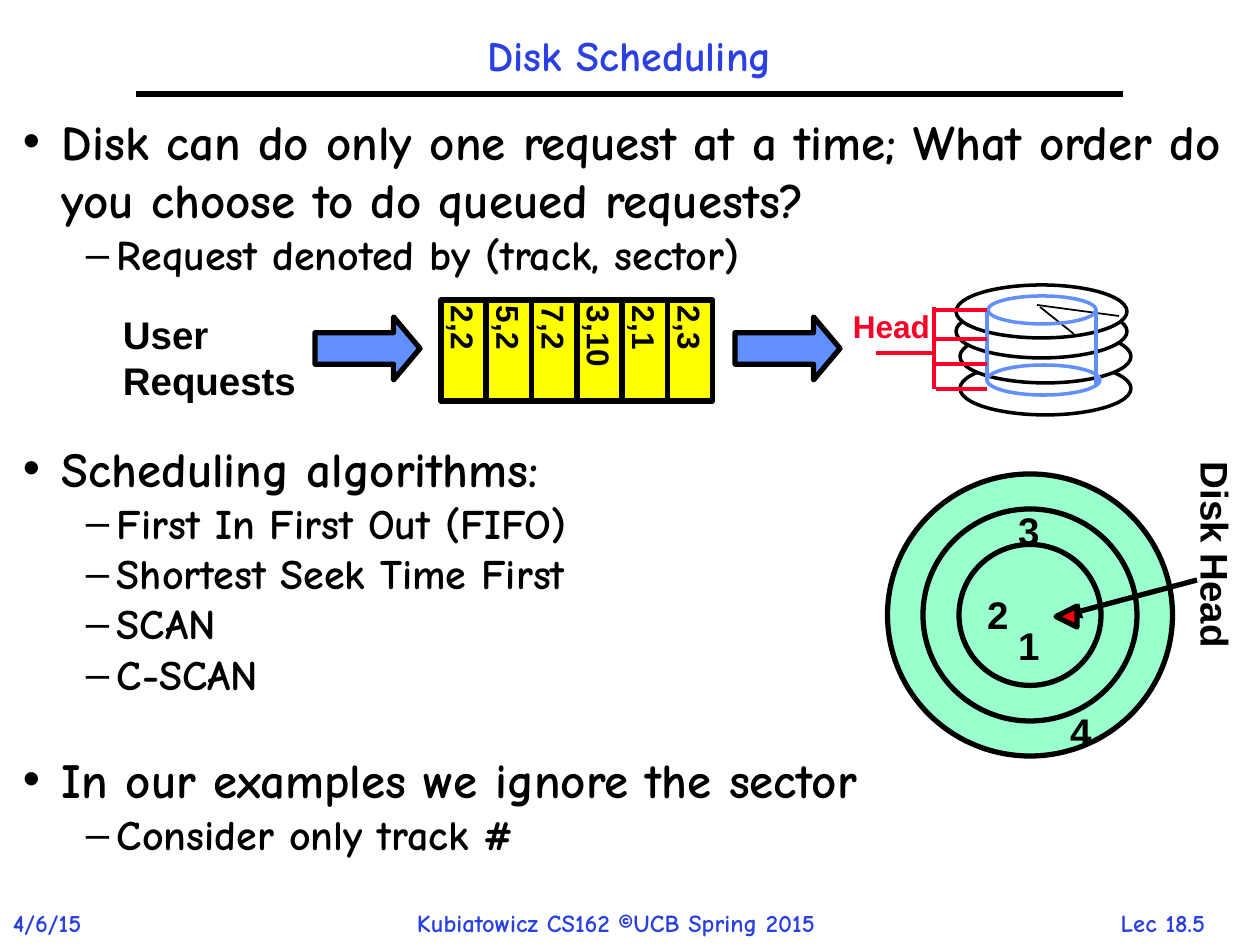
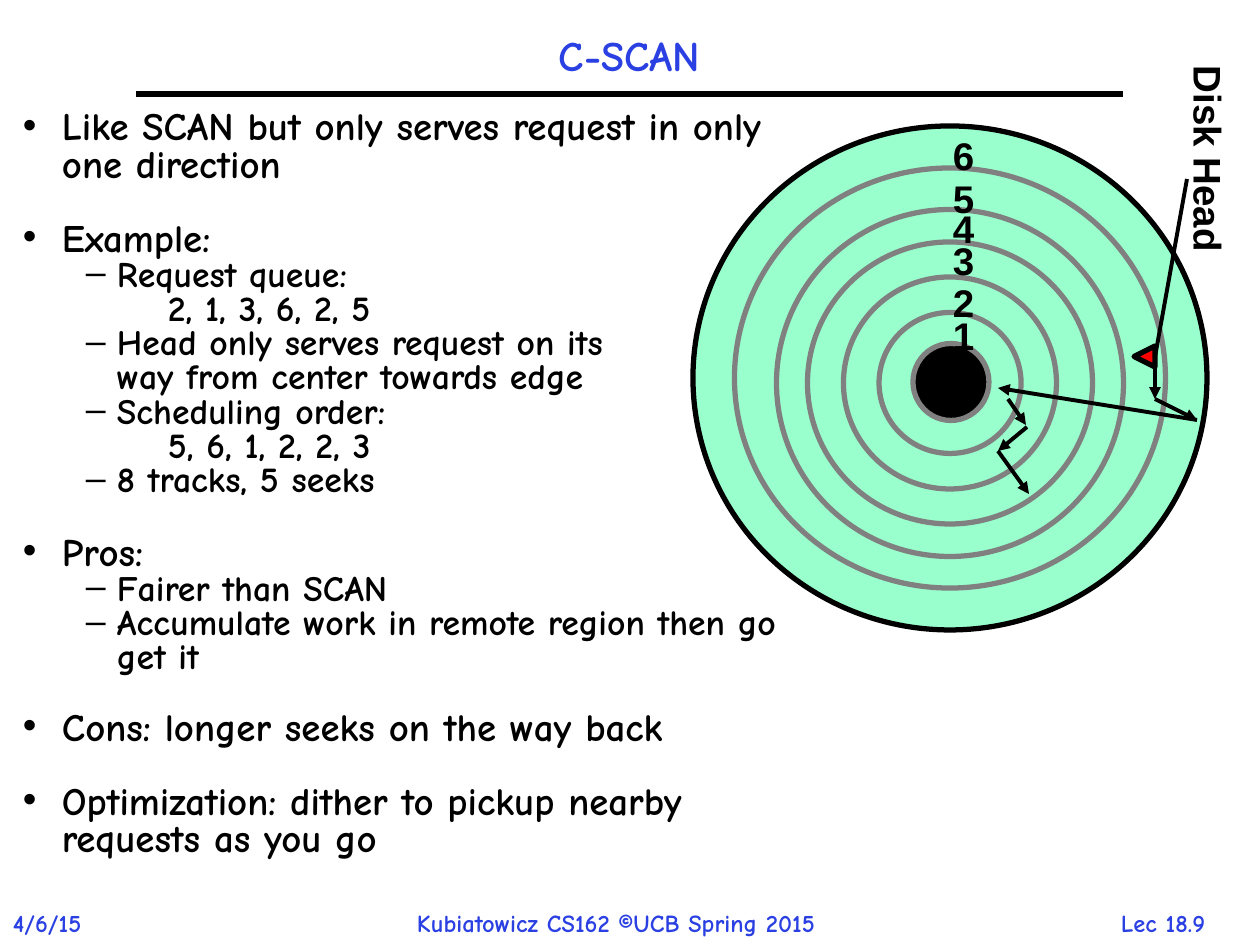
from lxml import etree
from pptx import Presentation
from pptx import util as u
from pptx.dml.color import RGBColor
from pptx.enum import shapes, text
from pptx.oxml.ns import qn

PX = 914400 / 126  # EMU in one px
BLACK, WHITE, GREY = "000000", "FFFFFF", "808080"
BLUE, SKY, MINT = "2A40E2", "618FFD", "99FFCC"
YELLOW, RED, CRIMSON = "FFFF00", "FF0000", "FC0128"
SCRIPT_FONT, LABEL_FONT = "Comic Neue", "Arial"
KIND = shapes.MSO_SHAPE
ALIGN = text.PP_ALIGN

# Left margin, first-line indent (px) and bullet of each outline level
LEVELS = [(39, -39, "•"), (94, -31, "–"), (145, 0, None)]


def px(length):
    return u.Emu(round(length * PX))


def colour(value):
    return RGBColor.from_string(value)


def write(shape, content, size, font=LABEL_FONT, ink=BLACK, align=ALIGN.LEFT,
          anchor=text.MSO_ANCHOR.TOP, spacing=None, insets=(13, 6)):
    frame = shape.text_frame
    frame.word_wrap = True
    frame.vertical_anchor = anchor
    frame.margin_left = frame.margin_right = px(insets[0])
    frame.margin_top = frame.margin_bottom = px(insets[1])
    frame.text = content
    for para in frame.paragraphs:
        para.alignment = align
        para.line_spacing = spacing
        style_runs(para, size, font, ink)


def style_runs(para, size, font, ink):
    for span in para.runs:
        span.font.size = u.Pt(size)
        span.font.name = font
        span.font.bold = True
        span.font.color.rgb = colour(ink)


class Region:
    """Part of a page whose contents are placed from its top left corner."""

    def __init__(self, page, left=0, top=0):
        self.shapes, self.left, self.top = page.shapes, left, top

    def place(self, x, y):
        return px(self.left + x), px(self.top + y)

    def text(self, x, y, width, height, content, size, **style):
        box = self.shapes.add_textbox(*self.place(x, y), px(width), px(height))
        write(box, content, size, **style)
        return box

    def shape(self, kind, x, y, width, height, fill=None, line=BLACK, weight=3):
        shape = self.shapes.add_shape(kind, *self.place(x, y), px(width), px(height))
        shape.shadow.inherit = False
        if fill:
            shape.fill.solid()
            shape.fill.fore_color.rgb = colour(fill)
        else:
            shape.fill.background()
        shape.line.color.rgb = colour(line)
        shape.line.width = u.Pt(weight)
        return shape

    def line(self, x1, y1, x2, y2, ink=BLACK, weight=2, arrow=False):
        line = self.shapes.add_connector(shapes.MSO_CONNECTOR.STRAIGHT,
                                         *self.place(x1, y1), *self.place(x2, y2))
        line.line.color.rgb = colour(ink)
        line.line.width = u.Pt(weight)
        if arrow:
            etree.SubElement(line.line._get_or_add_ln(), qn("a:tailEnd"), type="triangle")
        etree.SubElement(line._element.spPr, qn("a:effectLst"))

    def ring(self, centre_x, centre_y, width, height, fill=MINT, line=BLACK):
        self.shape(KIND.OVAL, centre_x - width / 2, centre_y - height / 2,
                   width, height, fill, line)

    def disk_head(self, label, marker):
        self.text(*label, 256, 62, "Disk Head", 22).rotation = 90
        triangle = self.shape(KIND.ISOSCELES_TRIANGLE, *marker, 21, 21, RED)
        triangle.rotation = 270


def add_page(deck, title, number):
    page = deck.slides.add_slide(deck.slide_layouts[6])
    frame = Region(page)
    # Title and rule
    frame.text(136, 21, 987, 73, title, 24, font=SCRIPT_FONT, ink=BLUE,
               align=ALIGN.CENTER, anchor=text.MSO_ANCHOR.MIDDLE, spacing=0.9)
    frame.line(136, 94, 1123, 94, weight=3)
    # Footer
    for x, width, content, align in [
            (0, 111, "4/6/15", ALIGN.LEFT),
            (404, 488, "Kubiatowicz CS162 ©UCB Spring 2015", ALIGN.LEFT),
            (1079, 168, f"Lec {number}", ALIGN.CENTER)]:
        frame.text(x, 902, width, 42, content, 14, font=SCRIPT_FONT, ink=BLUE, align=align)
    return page


def add_outline(region, width, height, sizes, spacing, items):
    """Bulleted text; each item is its level, wording and gap before in points."""
    box = region.text(0, 0, width, height, "\n".join(item[1] for item in items),
                      sizes[1], font=SCRIPT_FONT, spacing=spacing)
    for para, (level, _, gap) in zip(box.text_frame.paragraphs, items):
        margin, indent, bullet = LEVELS[level]
        if gap:
            para.space_before = u.Pt(gap)
        properties = para._p.get_or_add_pPr()
        properties.set("marL", str(px(margin)))
        properties.set("indent", str(px(indent)))
        if bullet:
            etree.SubElement(properties, qn("a:buFont"), typeface=LABEL_FONT)
            etree.SubElement(properties, qn("a:buChar"), char=bullet)
        else:
            etree.SubElement(properties, qn("a:buNone"))
        style_runs(para, sizes[min(level, 1)], SCRIPT_FONT, BLACK)


def add_request_queue(region):
    region.text(0, 5, 206, 88, "User\nRequests", 22)
    for x in (205, 625):
        arrow = region.shape(KIND.RIGHT_ARROW, x, 17, 105, 63, SKY)
        arrow.adjustments[1] = 0.42
    # Queued requests, the next to be served on the right
    requests = ["2,2", "5,2", "7,2", "3,10", "2,1", "2,3"]
    for i, request in enumerate(requests):
        cell = region.shape(KIND.RECTANGLE, 331 + 272 * i / len(requests), 0, 45, 101, YELLOW)
        write(cell, request, 18, anchor=text.MSO_ANCHOR.MIDDLE)
        cell.text_frame._txBody.bodyPr.set("vert", "eaVert")


def add_drive(region):
    # Platters, lowest first
    for x, y in [(116, 77), (116, 45), (112, 20), (112, 0)]:
        region.shape(KIND.OVAL, x, y, 171, 53, WHITE, weight=2)
    # Sector
    region.line(196, 22, 230, 49, weight=1)
    region.line(193, 20, 275, 31, weight=1)
    # Cylinder
    region.shape(KIND.OVAL, 143, 80, 113, 30, line=SKY, weight=2)
    region.shape(KIND.OVAL, 144, 11, 108, 28, line=SKY, weight=2)
    region.line(143, 25, 143, 96, SKY)
    region.line(252, 25, 252, 101, SKY)
    # Head assembly
    region.text(0, 24, 104, 40, "Head", 18, ink=CRIMSON, spacing=0.85, insets=(9, 4))
    region.line(90, 22, 90, 104, CRIMSON)
    for y in (25, 54, 79, 104):
        region.line(92, y, 143, y, CRIMSON)
    region.line(92, 68, 32, 68, CRIMSON)


def add_numbered_disk(region):
    for width, height in [(285, 282), (214, 212), (142, 141)]:
        region.ring(142, 141, width, height)
    for track, x, y in [("1", 117, 142), ("4", 169, 228), ("2", 86, 111), ("3", 117, 27)]:
        region.text(x, y, 57, 62, track, 22)
    region.line(309, 106, 178, 141, weight=3, arrow=True)
    region.disk_head(label=(198, 72), marker=(168, 132))


def add_scan_disk(region):
    # Tracks and hub
    region.ring(257, 252, 514, 504)
    for centre_y, width, height in [(252, 431, 420), (257, 347, 347), (257, 285, 282),
                                    (257, 213, 212), (257, 142, 141)]:
        region.ring(257, centre_y, width, height, line=GREY)
    region.ring(258, 256, 76, 77, BLACK, GREY)
    for track, y in zip("654321", (0, 43, 73, 105, 147, 180)):
        region.text(247, y, 47, 52, track, 22)
    # Head and its moves
    region.disk_head(label=(386, 24), marker=(441, 220))
    region.line(494, 53, 462, 231, weight=2.25)
    for move in [(462, 242, 462, 273), (462, 273, 504, 294), (504, 294, 305, 262),
                 (315, 273, 333, 299), (334, 301, 305, 325), (305, 325, 336, 368)]:
        region.line(*move, weight=2.25, arrow=True)


def scheduling_page(deck):
    page = add_page(deck, "Disk Scheduling", "18.5")
    add_outline(Region(page, 10, 105), 1250, 798, (28, 24), None, [
        (0, "Disk can do only one request at a time; What order do "
            "you choose to do queued requests?", 0),
        (1, "Request denoted by (track, sector)", 0),
        (0, "Scheduling algorithms:", 91),
        (1, "First In First Out (FIFO)", 0),
        (1, "Shortest Seek Time First", 0),
        (1, "SCAN", 0),
        (1, "C-SCAN", 0),
        (0, "In our examples we ignore the sector", 29),
        (1, "Consider only track #", 0)])
    add_request_queue(Region(page, 110, 300))
    add_drive(Region(page, 844, 285))
    add_numbered_disk(Region(page, 888, 474))


def c_scan_page(deck):
    page = add_page(deck, "C-SCAN", "18.9")
    add_scan_disk(Region(page, 693, 126))
    add_outline(Region(page, 10, 105), 796, 804, (22.2, 20.4), 0.8, [
        (0, "Like SCAN but only serves request in only one direction", 0),
        (0, "Example:", 21),
        (1, "Request queue:", 0),
        (2, "2, 1, 3, 6, 2, 5", 0),
        (1, "Head only serves request on its\vway from center towards edge", 0),
        (1, "Scheduling order:", 0),
        (2, "5, 6, 1, 2, 2, 3", 0),
        (1, "8 tracks, 5 seeks", 0),
        (0, "Pros:", 21),
        (1, "Fairer than SCAN", 0),
        (1, "Accumulate work in remote region then go get it", 0),
        (0, "Cons: longer seeks on the way back", 20),
        (0, "Optimization: dither to pickup nearby requests as you go", 21)])


def main():
    deck = Presentation()
    deck.slide_width, deck.slide_height = px(1260), px(945)
    scheduling_page(deck)
    c_scan_page(deck)
    deck.save("out.pptx")


if __name__ == "__main__":
    main()
